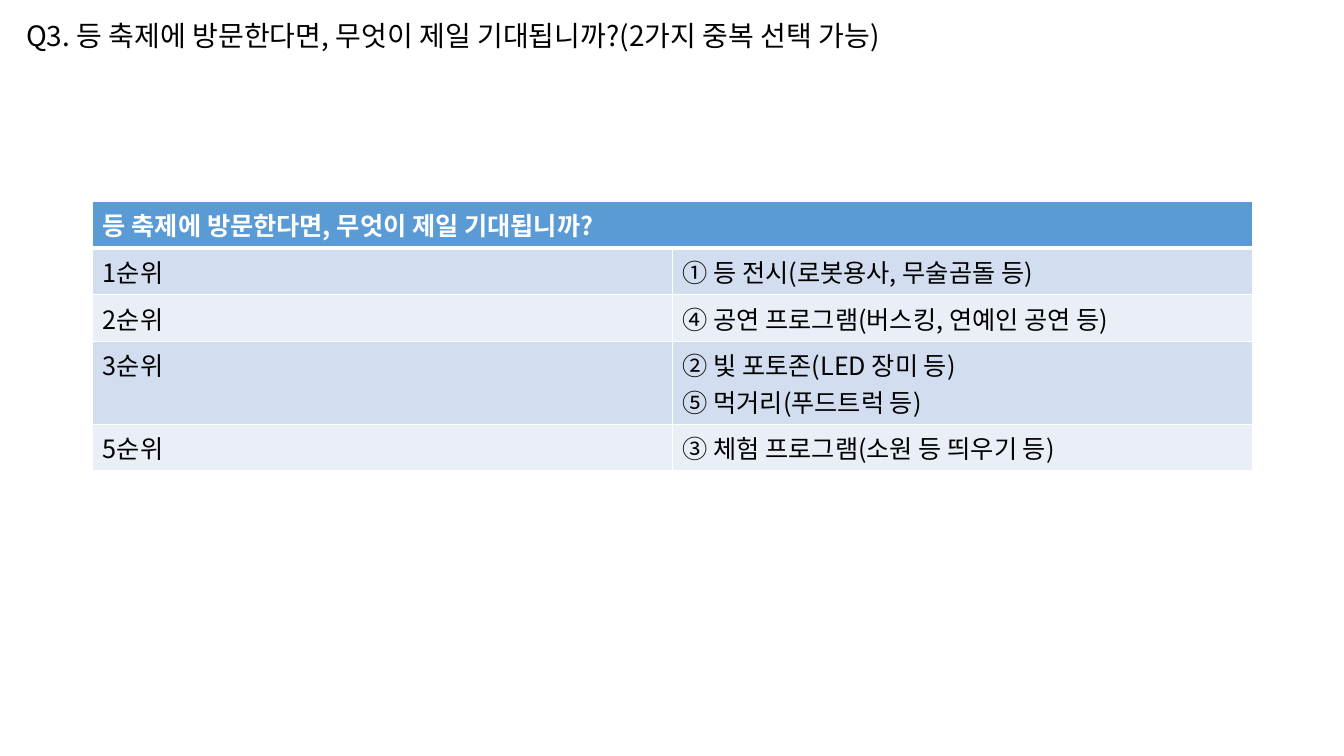
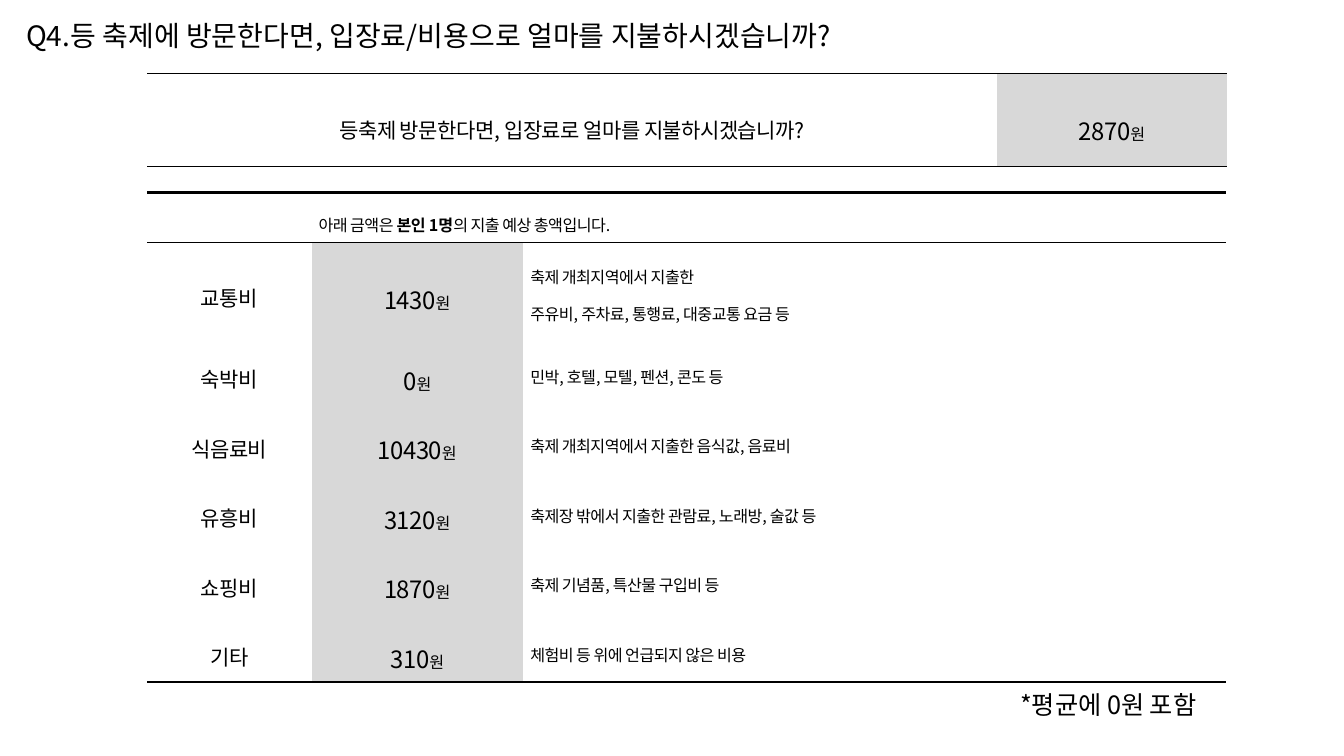
from dataclasses import dataclass

from lxml.etree import SubElement
from pptx import Presentation
from pptx.dml.color import RGBColor
from pptx.enum.text import MSO_ANCHOR, MSO_AUTO_SIZE, PP_ALIGN
from pptx.oxml import parse_xml
from pptx.oxml.ns import nsdecls, qn
from pptx.util import Inches, Pt


@dataclass(frozen=True)
class Theme:
    font: str = "Noto Sans CJK KR"
    ink: str = "000000"
    white: str = "FFFFFF"
    blue: str = "5B9BD5"
    bands: tuple = ("D2DEEF", "EAEFF7")
    gray: str = "D8D8D8"
    head: float = 20
    body: float = 18
    money: float = 17
    label: float = 15
    small: float = 11.5
    thick: float = 1.7
    thin: float = 0.28


@dataclass(frozen=True)
class Part:
    text: str
    size: float
    bold: bool = False
    color: str = Theme.ink


class Deck:
    def __init__(self, theme):
        self.theme = theme
        self.file = Presentation()
        self.file.slide_width = Inches(13.33)
        self.file.slide_height = Inches(7.5)
        self.slide = None

    def page(self, text):
        """Start a slide with the question as its title."""
        self.slide = self.file.slides.add_slide(self.file.slide_layouts[5])
        title = self.slide.shapes.title
        title.left, title.top = Inches(0.16), Inches(0.17)
        title.width, title.height = Inches(13), Inches(0.44)
        self.block(title.text_frame, [[Part(text, self.theme.head)]], space=0.9)

    def note(self, text, left, top, width, height):
        box = self.slide.shapes.add_textbox(
            Inches(left), Inches(top), Inches(width), Inches(height))
        self.block(box.text_frame, [[Part(text, self.theme.body)]], space=0.82)

    def block(self, frame, lines, **style):
        """Fill a frame that wraps its text from the top."""
        frame.word_wrap = True
        frame.auto_size = MSO_AUTO_SIZE.NONE
        frame.vertical_anchor = MSO_ANCHOR.TOP
        self.lines(frame, lines, **style)

    def lines(self, frame, lines, align=PP_ALIGN.LEFT, space=1.0, track=0):
        """Fill a frame; each line is a list of parts, track is in points."""
        for index, parts in enumerate(lines):
            para = frame.add_paragraph() if index else frame.paragraphs[0]
            para.text = parts[0].text
            for part in parts[1:]:
                para.add_run().text = part.text
            para.alignment = align
            para.line_spacing = space
            for run, part in zip(para.runs, parts):
                font = run.font
                font.size = Pt(part.size)
                font.bold = part.bold
                font.color.rgb = RGBColor.from_string(part.color)
                font.name = self.theme.font
                props = run._r.get_or_add_rPr()
                SubElement(props, qn("a:ea"), typeface=self.theme.font)
                if track:
                    props.set("spc", str(round(track * 100)))

    def table(self, left, top, cols, rows):
        frame = self.slide.shapes.add_table(
            len(rows), len(cols), Inches(left), Inches(top),
            Inches(sum(cols)), Inches(sum(rows)))
        table = frame.table
        table.first_row = table.horz_banding = False
        for col, width in zip(table.columns, cols):
            col.width = Inches(width)
        for row, height in zip(table.rows, rows):
            row.height = Inches(height)
        return table

    def paint(self, cell, fill, edges):
        """Set fill and borders; edges maps L, R, T, B to (color, points)."""
        if fill:
            cell.fill.solid()
            cell.fill.fore_color.rgb = RGBColor.from_string(fill)
        else:
            cell.fill.background()
        props = cell._tc.get_or_add_tcPr()
        for index, side in enumerate("LRTB"):
            color, width = edges.get(side, (None, 0))
            ink = (f'<a:solidFill><a:srgbClr val="{color}"/></a:solidFill>'
                   if color else "<a:noFill/>")
            props.insert(index, parse_xml(
                f'<a:ln{side} {nsdecls("a")} w="{int(Pt(width))}">{ink}</a:ln{side}>'))

    def rank(self, head, items, left, top, cols):
        """Banded table with one header over all columns."""
        look = self.theme
        table = self.table(left, top, cols, [0.41] * (len(items) + 1))
        for row in range(len(items) + 1):
            edges = dict.fromkeys("LRTB", (look.white, 1))
            if row < 2:
                edges["T" if row else "B"] = (look.white, 3)
            fill = look.bands[(row - 1) % 2] if row else look.blue
            for col in range(len(cols)):
                self.paint(table.cell(row, col), fill, edges)
        table.cell(0, 0).merge(table.cell(0, len(cols) - 1))
        self.lines(table.cell(0, 0).text_frame,
                   [[Part(head, look.body, True, look.white)]])
        for row, item in enumerate(items, 1):
            for col, text in enumerate(item):
                self.lines(table.cell(row, col).text_frame,
                           [[Part(line, look.body)] for line in text.split("\n")])

    def form(self, grid, left, top, cols, rows, rules, fills):
        """Ruled form; rules holds the line width above each row and below the last."""
        table = self.table(left, top, cols, rows)
        for row, cells in enumerate(grid):
            edges = {side: (self.theme.ink, width) for side, width
                     in zip("TB", rules[row:row + 2]) if width}
            for col, (lines, align) in enumerate(cells):
                cell = table.cell(row, col)
                cell.margin_left = cell.margin_right = Inches(0.07)
                cell.margin_top = cell.margin_bottom = Inches(0.02)
                cell.vertical_anchor = MSO_ANCHOR.MIDDLE
                self.paint(cell, self.theme.gray if (row, col) in fills else None, edges)
                self.lines(cell.text_frame, lines, align, 1.6, -0.4)
        return table

    def label(self, text):
        return [[Part(text, self.theme.label)]], PP_ALIGN.CENTER

    def money(self, value):
        return [[Part(str(value), self.theme.money),
                 Part("원", self.theme.small)]], PP_ALIGN.CENTER

    def detail(self, text):
        return [[Part(line, self.theme.small)]
                for line in text.split("\n")], PP_ALIGN.JUSTIFY


RANKS = [
    ("1순위", "① 등 전시(로봇용사, 무술곰돌 등)"),
    ("2순위", "④ 공연 프로그램(버스킹, 연예인 공연 등)"),
    ("3순위", "② 빛 포토존(LED 장미 등)\n⑤ 먹거리(푸드트럭 등)"),
    ("5순위", "③ 체험 프로그램(소원 등 띄우기 등)"),
]
COSTS = [
    ("교통비", 1430, "축제 개최지역에서 지출한\n주유비, 주차료, 통행료, 대중교통 요금 등"),
    ("숙박비", 0, "민박, 호텔, 모텔, 펜션, 콘도 등"),
    ("식음료비", 10430, "축제 개최지역에서 지출한 음식값, 음료비"),
    ("유흥비", 3120, "축제장 밖에서 지출한 관람료, 노래방, 술값 등"),
    ("쇼핑비", 1870, "축제 기념품, 특산물 구입비 등"),
    ("기타", 310, "체험비 등 위에 언급되지 않은 비용"),
]


def hopes(deck):
    deck.page("Q3. 등 축제에 방문한다면, 무엇이 제일 기대됩니까?(2가지 중복 선택 가능)")
    deck.rank("등 축제에 방문한다면, 무엇이 제일 기대됩니까?", RANKS, 0.92, 2, [5.75, 5.75])


def costs(deck):
    look = deck.theme
    deck.page("Q4.등 축제에 방문한다면, 입장료/비용으로 얼마를 지불하시겠습니까?")
    blank = [], PP_ALIGN.LEFT
    intro = [[Part("아래 금액은 ", look.small), Part("본인 1명", look.small, True),
              Part("의 지출 예상 총액입니다.", look.small)]], PP_ALIGN.JUSTIFY
    grid = [[blank, intro, blank]]
    grid += [[deck.label(name), deck.money(value), deck.detail(text)]
             for name, value, text in COSTS]
    rules = [look.thick, look.thin] + [0] * (len(COSTS) - 1) + [look.thick]
    table = deck.form(grid, 1.46, 1.91, [1.63, 2.1, 6.97], [0.49, 0.92] + [0.69] * 5,
                      rules, {(row, 1) for row in range(1, len(grid))})
    table.cell(0, 1).merge(table.cell(0, 2))
    fee = [[deck.label("등축제 방문한다면, 입장료로 얼마를 지불하시겠습니까?"), deck.money(2870)]]
    deck.form(fee, 1.46, 0.73, [8.43, 2.28], [0.92], [1, 1], {(0, 1)})
    deck.note("*평균에 0원 포함", 10.02, 6.84, 2.14, 0.4)


def main():
    deck = Deck(Theme())
    hopes(deck)
    costs(deck)
    deck.file.save("out.pptx")


if __name__ == "__main__":
    main()
